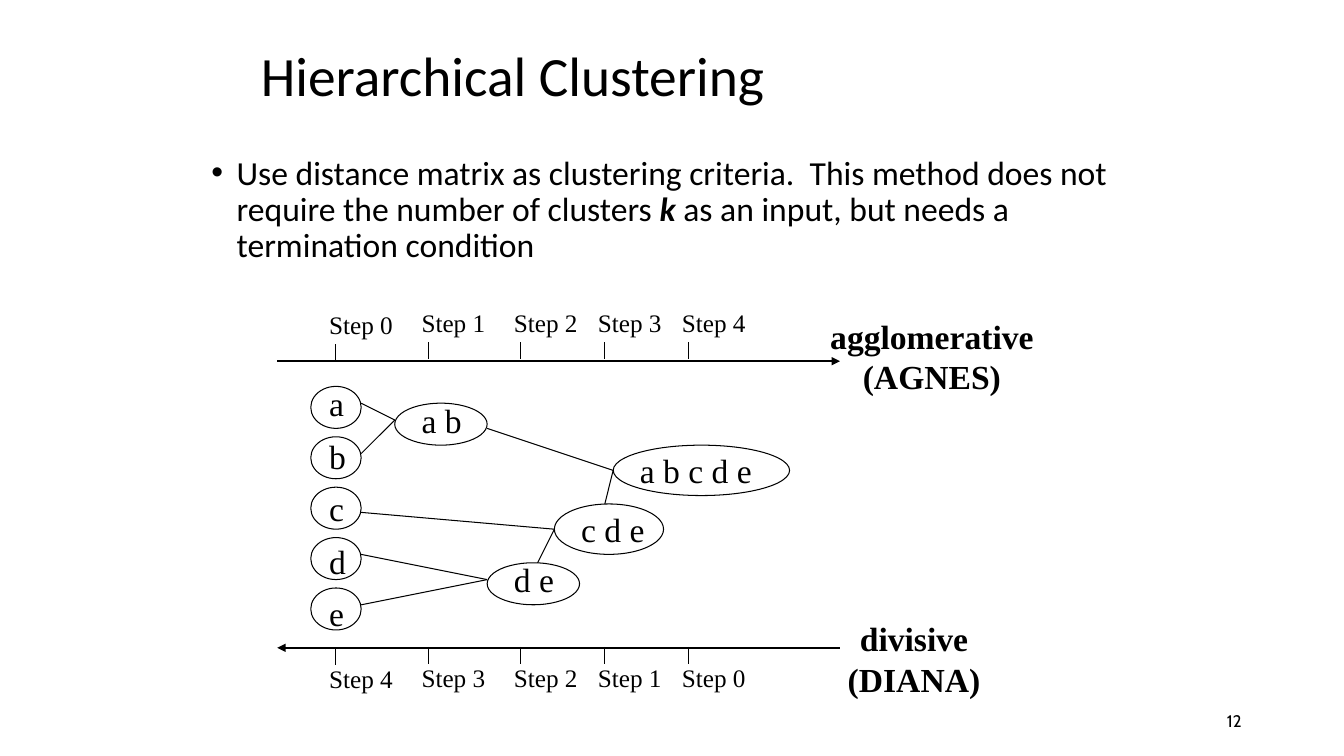
import dataclasses

import pptx
import pptx.dml.color
import pptx.enum.shapes
import pptx.enum.text
import pptx.oxml.ns
import pptx.util
from lxml import etree

PX = pptx.util.Inches(1) // 96  # one px in EMU
ALIGN = pptx.enum.text.PP_ALIGN
ANCHOR = pptx.enum.text.MSO_ANCHOR


@dataclasses.dataclass(frozen=True)
class Theme:
    ink: pptx.dml.color.RGBColor = pptx.dml.color.RGBColor(0, 0, 0)
    heading_font: str = "Calibri"
    diagram_font: str = "Times New Roman"
    number_font: str = "Cabin"
    title_size: float = 39.6
    body_size: float = 24
    step_size: float = 18
    number_size: float = 12
    thin: float = 0.75
    thick: float = 1.5


THEME = Theme()

STEP_X = [320, 408, 496, 576, 656]
STEP_NAMES = [f"Step {number}" for number in range(5)]

# label, ellipse left, top, width, height, label left, label top
CLUSTERS = [
    ("a b", 376, 384, 88, 40, 392, 376),
    ("d e", 464, 536, 88, 40, 480, 528),
    ("c d e", 528, 480, 104, 48, 544, 480),
    ("a b c d e", 584, 424, 168, 48, 600, 424),
]

# meeting point of each merge, then the points joined to it
MERGES = [
    ((376, 400), [(344, 384), (344, 432)]),
    ((464, 552), [(344, 528), (344, 576)]),
    ((528, 504), [(344, 488), (512, 536)]),
    ((584, 448), [(464, 408), (576, 480)]),
]


def add_run(paragraph, text, font, size, bold=False, italic=False):
    run = paragraph.add_run()
    run.text = text
    run.font.name = font
    run.font.size = pptx.util.Pt(size)
    run.font.bold = bold
    run.font.italic = italic
    run.font.color.rgb = THEME.ink


def add_box(slide, left, top, width, height, wrap=True, anchor=ANCHOR.TOP):
    shape = slide.shapes.add_textbox(left * PX, top * PX, width * PX, height * PX)
    shape.text_frame.word_wrap = wrap
    shape.text_frame.vertical_anchor = anchor
    return shape.text_frame


def add_line(slide, start, end, width=THEME.thin, arrow=False):
    connector = slide.shapes.add_connector(
        pptx.enum.shapes.MSO_CONNECTOR.STRAIGHT,
        *(value * PX for value in (*start, *end)))
    connector.line.color.rgb = THEME.ink
    connector.line.width = pptx.util.Pt(width)
    properties = connector._element.spPr
    if arrow:
        tail = etree.SubElement(connector.line._get_or_add_ln(),
                                pptx.oxml.ns.qn("a:tailEnd"))
        tail.set("type", "triangle")
    etree.SubElement(properties, pptx.oxml.ns.qn("a:effectLst"))


def add_node(slide, text, left, top, width, height, text_left, text_top):
    shape = slide.shapes.add_shape(
        pptx.enum.shapes.MSO_SHAPE.OVAL,
        left * PX, top * PX, width * PX, height * PX)
    shape.shadow.inherit = False
    shape.fill.background()
    shape.line.color.rgb = THEME.ink
    shape.line.width = pptx.util.Pt(THEME.thin)
    # 24 pt letters are about 8 px per character, plus the insets
    frame = add_box(slide, text_left, text_top, 22 + 12 * len(text), 48, wrap=False)
    add_run(frame.paragraphs[0], text, THEME.diagram_font, THEME.body_size)


def add_axis(slide, start, end, tick_top, label_top, names, first_drop):
    add_line(slide, start, end, THEME.thick, arrow=True)
    for index, (x, name) in enumerate(zip(STEP_X, names)):
        drop = 0 if index else first_drop  # the first step sits slightly lower
        add_line(slide, (x, tick_top + drop), (x, tick_top + drop + 16))
        frame = add_box(slide, x - 16, label_top + drop, 80, 38)
        add_run(frame.paragraphs[0], name, THEME.diagram_font, THEME.step_size)


def add_method(slide, lines, left, top, width):
    frame = add_box(slide, left, top, width, 87, wrap=False)
    for index, text in enumerate(lines):
        paragraph = frame.add_paragraph() if index else frame.paragraphs[0]
        paragraph.alignment = ALIGN.CENTER
        add_run(paragraph, text, THEME.diagram_font, THEME.body_size, bold=True)


def add_title(slide, text):
    frame = add_box(slide, 239, 52, 766, 46, anchor=ANCHOR.MIDDLE)
    frame.paragraphs[0].line_spacing = 0.9
    add_run(frame.paragraphs[0], text, THEME.heading_font, THEME.title_size)


def add_bullet(slide, runs):
    paragraph = add_box(slide, 192, 144, 872, 128).paragraphs[0]
    paragraph.line_spacing = 0.9
    properties = paragraph._p.get_or_add_pPr()
    properties.set("marL", str(24 * PX))
    properties.set("indent", str(-24 * PX))
    font = etree.SubElement(properties, pptx.oxml.ns.qn("a:buFont"))
    font.set("typeface", "Arial")
    bullet = etree.SubElement(properties, pptx.oxml.ns.qn("a:buChar"))
    bullet.set("char", "•")
    for text, strong in runs:
        add_run(paragraph, text, THEME.heading_font, THEME.body_size, strong, strong)


def add_page_number(slide, text):
    frame = add_box(slide, 904, 667, 288, 38, anchor=ANCHOR.MIDDLE)
    frame.paragraphs[0].alignment = ALIGN.RIGHT
    add_run(frame.paragraphs[0], text, THEME.number_font, THEME.number_size)


def main():
    presentation = pptx.Presentation()
    presentation.slide_width = 1280 * PX
    presentation.slide_height = 720 * PX
    slide = presentation.slides.add_slide(presentation.slide_layouts[6])

    # Heading and statement
    add_title(slide, "Hierarchical Clustering")
    add_bullet(slide, [
        ("Use distance matrix as clustering criteria.  This method does not "
         "require the number of clusters ", False),
        ("k", True),
        (" as an input, but needs a termination condition", False),
    ])

    # Step axes, running in opposite directions
    add_axis(slide, (264, 344), (800, 344), 326, 288, STEP_NAMES, 2)
    add_axis(slide, (800, 617), (264, 617), 616, 626, STEP_NAMES[::-1], 1)

    # Single items, then merged clusters
    for index, letter in enumerate("abcde"):
        add_node(slide, letter, 296, 368 + 48 * index, 48, 40,
                 304, 360 + 50 * index)
    for cluster in CLUSTERS:
        add_node(slide, *cluster)

    # Links between clusters
    for meeting, sources in MERGES:
        for source in sources:
            add_line(slide, source, meeting)

    # Method names and page number
    add_method(slide, ["agglomerative", "(AGNES)"], 780, 296, 215)
    add_method(slide, ["divisive", "(DIANA)"], 797, 584, 147)
    add_page_number(slide, "12")

    presentation.save("out.pptx")


if __name__ == "__main__":
    main()
